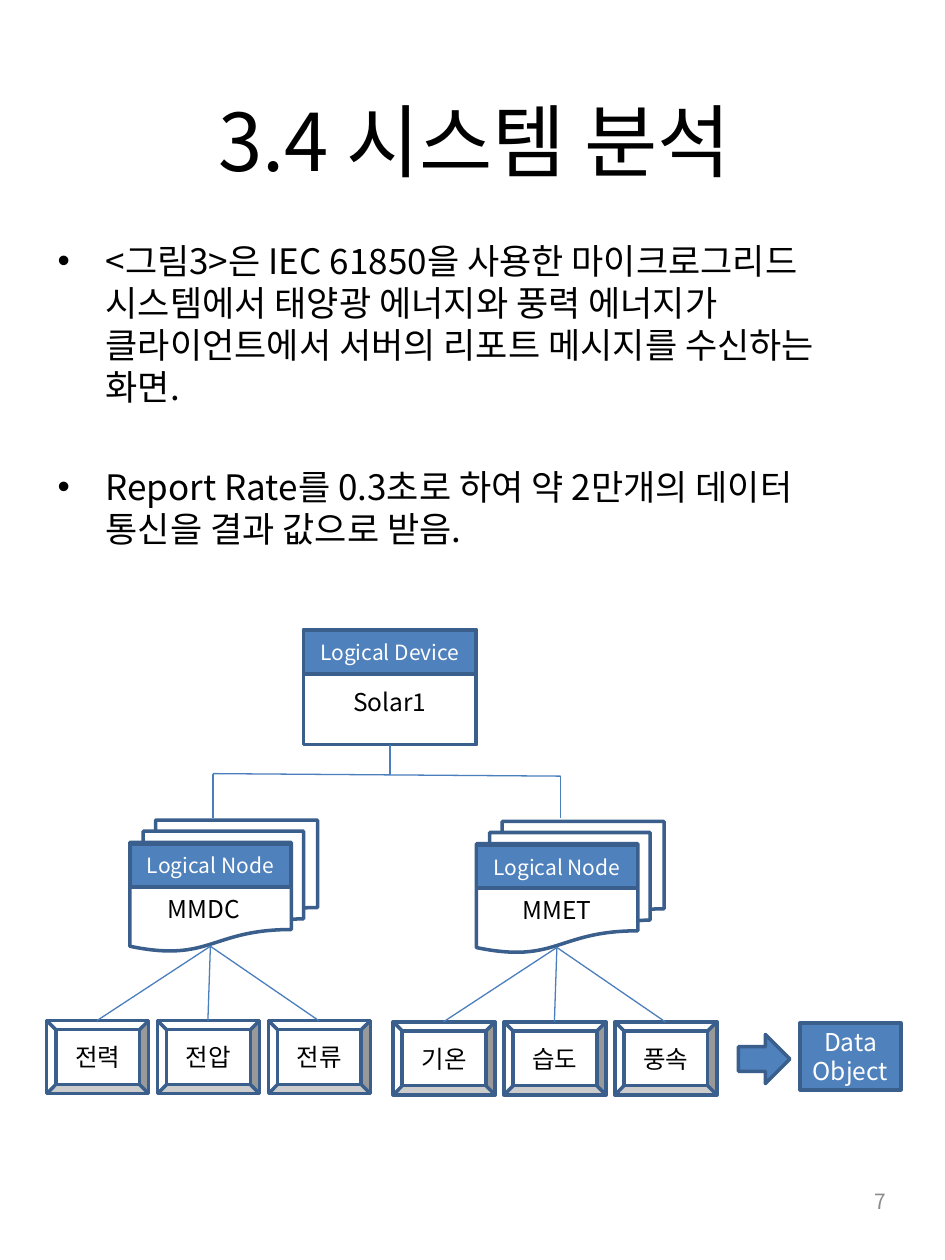
from pptx import Presentation, util as u
from pptx.dml import color
from pptx.enum import shapes as sh, text as tx
from pptx.oxml import ns
from lxml import etree

FACE = "Noto Sans CJK KR"
BLUE, EDGE, WIRE = "4F81BD", "3A5F8C", "4B7EBC"
WHITE, BLACK, GREY = "FFFFFF", "000000", "8C8C8C"
KIND = sh.MSO_SHAPE
SIDE = tx.PP_ALIGN
INCH = u.Inches


def paint(part, tint):
    if hasattr(part, "solid"):
        part.solid()
        part = part.fore_color
    part.rgb = color.RGBColor.from_string(tint)


def apply(item, form):
    for key, value in form.items():
        setattr(item, key, value)


def write(para, words, size, tint, align):
    para.alignment = align
    run = para.add_run()
    run.text = words
    apply(run.font, {"name": FACE, "size": u.Pt(size)})
    paint(run.font.color, tint)
    run.font._element.set("kern", "0")
    asian = etree.SubElement(run.font._element, ns.qn("a:ea"))
    asian.set("typeface", FACE)


def label(shape, words, size, tint, align=SIDE.CENTER, drop=0):
    frame = shape.text_frame
    apply(frame, {
        "word_wrap": True, "vertical_anchor": tx.MSO_ANCHOR.MIDDLE,
        "margin_top": INCH(drop), "margin_bottom": 0,
    })
    write(frame.paragraphs[0], words, size, tint, align)


def block(slide, kind, box, fill, words="", size=14, tint=WHITE, drop=0):
    shape = slide.shapes.add_shape(kind, *map(INCH, box))
    shape.shadow.inherit = False
    paint(shape.fill, fill)
    paint(shape.line.fill, EDGE)
    shape.line.width = u.Pt(2)
    if words:
        label(shape, words, size, tint, drop=drop)
    return shape


def wire(slide, start, end):
    line = slide.shapes.add_connector(
        sh.MSO_CONNECTOR.STRAIGHT, *map(INCH, start + end))
    paint(line.line.fill, WIRE)
    line.line.width = u.Pt(0.75)
    etree.SubElement(line._element.spPr, ns.qn("a:effectLst"))
    return line


def head(slide, box, words):
    title = slide.shapes.title
    apply(title, dict(zip(("left", "top", "width", "height"), map(INCH, box))))
    label(title, words, 45.5, BLACK)


def body(slide, box, items):
    frame = slide.shapes.add_textbox(*map(INCH, box)).text_frame
    frame.word_wrap = True
    for i, words in enumerate(items):
        para = frame.add_paragraph() if i else frame.paragraphs[0]
        write(para, words, 20, BLACK, SIDE.LEFT)
        para.space_before = u.Pt(33 if i else 0)
        props = para._p.get_or_add_pPr()
        props.set("marL", str(INCH(0.38)))
        props.set("indent", str(-INCH(0.38)))
        etree.SubElement(props, ns.qn("a:buFont")).set("typeface", "Arial")
        etree.SubElement(props, ns.qn("a:buChar")).set("char", "•")


def device(slide, box, words):
    left, top, wide, high = box
    base = block(slide, KIND.FLOWCHART_PROCESS, box, WHITE, words,
                 tint=BLACK, drop=0.23)
    block(slide, KIND.RECTANGLE, (left, top, wide, 0.35), BLUE,
          "Logical Device", 12)
    return base


def node(slide, box, words, leaves, inset):
    left, top, wide, high = box
    sheet = block(slide, KIND.FLOWCHART_MULTIDOCUMENT, box, WHITE, words,
                  tint=BLACK, drop=0.22)
    sheet.text_frame.margin_right = INCH(inset)
    block(slide, KIND.RECTANGLE, (left, top + 0.19, 1.28, 0.34), BLUE,
          "Logical Node", 12)
    low = top + 1.59
    for i, leaf in enumerate(leaves):
        x = left - 0.66 + 0.88 * i
        block(slide, KIND.BEVEL, (x, low, 0.81, 0.58), WHITE, leaf, tint=BLACK)
        wire(slide, (left + 0.64, top + 1), (x + 0.4, low))


def tree(slide, box):
    left, top, wide, high = box
    root = device(slide, (left + 2.05, top, 1.37, 0.91), "Solar1")
    nodes = [("MMDC", ("전력", "전압", "전류"), 0.2),
             ("MMET", ("기온", "습도", "풍속"), 0.1)]
    ends = []
    for i, (name, leaves, inset) in enumerate(nodes):
        x, y = left + 0.67 + 2.75 * i, top + 1.51 + 0.01 * i
        node(slide, (x, y, 1.49, 1.04), name, leaves, inset)
        ends.append((left + 1.33 + 2.76 * i, top + 1.14 + 0.02 * i))
        wire(slide, ends[i], (ends[i][0], top + 1.49))
    wire(slide, *ends)
    mid = left + 2.05 + 1.37 / 2
    stem = wire(slide, (mid, top + 0.91), (mid, top + 1.15))
    stem.begin_connect(root, 2)
    block(slide, KIND.RIGHT_ARROW, (left + 5.5, top + 3.21, 0.41, 0.39), BLUE)
    block(slide, KIND.RECTANGLE, (left + wide - 0.8, top + 3.12, 0.8, 0.53),
          BLUE, "Data Object")


def foot(slide, box, words):
    label(slide.shapes.add_textbox(*map(INCH, box)), words, 12, GREY, SIDE.RIGHT)


def main():
    deck = Presentation()
    apply(deck, {"slide_width": INCH(7.5), "slide_height": INCH(10)})
    slide = deck.slides.add_slide(deck.slide_layouts[5])
    head(slide, (0.16, 0.2, 7.21, 1.81), "3.4 시스템 분석")
    tree(slide, (0.36, 5, 6.79, 3.69))
    body(slide, (0.36, 1.85, 6.77, 3.8), [
        "<그림3>은 IEC 61850을 사용한 마이크로그리드 시스템에서 태양광 에너지와 "
        "풍력 에너지가 클라이언트에서 서버의 리포트 메시지를 수신하는 화면.",
        "Report Rate를 0.3초로 하여 약 2만개의 데이터 통신을 결과 값으로 받음.",
    ])
    foot(slide, (5.38, 9.27, 1.75, 0.53), "7")
    deck.save("out.pptx")


if __name__ == "__main__":
    main()
